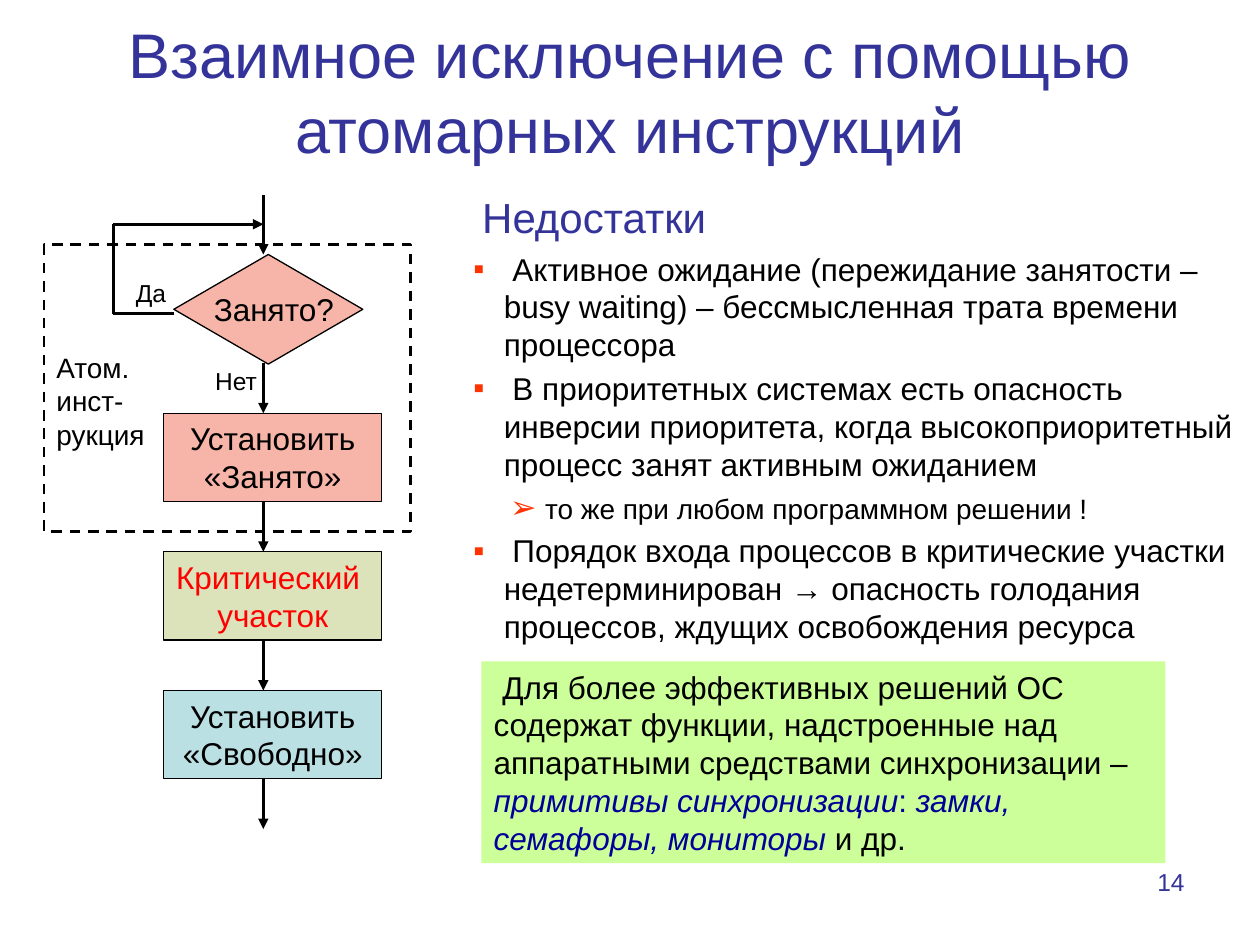
from pptx import Presentation
from pptx.dml.color import RGBColor
from pptx.enum.dml import MSO_LINE
from pptx.enum.shapes import MSO_CONNECTOR, MSO_SHAPE
from pptx.enum.text import MSO_ANCHOR, PP_ALIGN
from pptx.oxml.ns import qn
from pptx.util import Inches, Pt
from lxml.etree import SubElement

FONT = "Arial"
BLACK = RGBColor(0x00, 0x00, 0x00)
INDIGO = RGBColor(0x33, 0x33, 0x99)
NAVY = RGBColor(0x00, 0x00, 0x99)
RED = RGBColor(0xFF, 0x00, 0x00)
BULLET_RED = RGBColor(0xFF, 0x33, 0x00)
SALMON = RGBColor(0xF6, 0xB5, 0xA8)
OLIVE = RGBColor(0xDC, 0xE3, 0xBB)
TEAL = RGBColor(0xBB, 0xE0, 0xE3)
LIME = RGBColor(0xCC, 0xFF, 0x99)

FLOW_X = 2.09
LOOP_X, LOOP_TOP, LOOP_BOTTOM = 0.9, 1.78, 2.49
STEP_TOP, STEP_PITCH, STEP_HEIGHT, ARROW_LENGTH = 3.28, 1.1, 0.7, 0.4


def add_run(paragraph, text, size, color=BLACK, italic=False):
    run = paragraph.add_run()
    run.text = text
    run.font.name = FONT
    run.font.size = Pt(size)
    run.font.color.rgb = color
    run.font.italic = italic


def add_text(slide, box, text, size, color=BLACK, align=PP_ALIGN.LEFT,
             anchor=MSO_ANCHOR.TOP):
    frame = slide.shapes.add_textbox(*map(Inches, box)).text_frame
    frame.word_wrap = True
    frame.vertical_anchor = anchor
    paragraph = frame.paragraphs[0]
    paragraph.alignment = align
    add_run(paragraph, text, size, color)


def add_block(slide, preset, box, fill=None, line_width=None):
    block = slide.shapes.add_shape(preset, *map(Inches, box))
    block.shadow.inherit = False
    if fill is None:
        block.fill.background()
    else:
        block.fill.solid()
        block.fill.fore_color.rgb = fill
    if line_width is None:
        block.line.fill.background()
    else:
        block.line.color.rgb = BLACK
        block.line.width = Pt(line_width)
    block.text_frame.word_wrap = True
    block.text_frame.vertical_anchor = MSO_ANCHOR.TOP
    return block


def add_line(slide, start, end, arrow=False):
    line = slide.shapes.add_connector(
        MSO_CONNECTOR.STRAIGHT, *map(Inches, start + end))
    line.line.color.rgb = BLACK
    line.line.width = Pt(1.5)
    if arrow:
        SubElement(line.line._get_or_add_ln(), qn("a:tailEnd"), type="triangle")
    SubElement(line._element.spPr, qn("a:effectLst"))


def set_bullet(paragraph, mark, margin, hanging):
    properties = paragraph._p.get_or_add_pPr()
    properties.set("marL", str(Inches(margin)))
    properties.set("indent", str(-Inches(hanging)))
    color = SubElement(properties, qn("a:buClr"))
    SubElement(color, qn("a:srgbClr"), val=str(BULLET_RED))
    SubElement(properties, qn("a:buFont"), typeface=FONT)
    SubElement(properties, qn("a:buChar"), char=mark)


def add_drawbacks(slide):
    box = slide.shapes.add_textbox(
        Inches(3.66), Inches(1.47), Inches(6.3), Inches(3.7))
    frame = box.text_frame
    frame.word_wrap = True
    heading = frame.paragraphs[0]
    heading.space_after = Pt(4.5)
    add_run(heading, " ", 18, INDIGO)
    add_run(heading, "Недостатки", 24, INDIGO)

    drawbacks = [
        (0, " Активное ожидание (пережидание занятости – busy waiting) – "
            "бессмысленная трата времени процессора"),
        (0, " В приоритетных системах есть опасность инверсии приоритета, "
            "когда высокоприоритетный процесс занят активным ожиданием"),
        (1, "то же при любом программном решении !"),
        (0, " Порядок входа процессов в критические участки недетерминирован "
            "→ опасность голодания процессов, ждущих освобождения ресурса"),
    ]
    for level, text in drawbacks:
        paragraph = frame.add_paragraph()
        paragraph.level = level
        if level:
            paragraph.space_after = Pt(3)
            set_bullet(paragraph, "➢", 0.5, 0.21)
            add_run(paragraph, " ", 18)
            add_run(paragraph, text, 16)
        else:
            paragraph.space_after = Pt(3.4)
            set_bullet(paragraph, "▪", 0.24, 0.24)
            add_run(paragraph, text, 18)


def add_flowchart(slide):
    # Busy check and its waiting loop
    add_block(slide, MSO_SHAPE.FLOWCHART_DECISION, (1.38, 2.02, 1.5, 0.87),
              SALMON, 0.75)
    add_text(slide, (1.53, 2.25, 1.26, 0.4), " Занято?", 18)
    add_line(slide, (FLOW_X, 1.55), (FLOW_X, 2.02), arrow=True)
    add_line(slide, (1.38, LOOP_BOTTOM), (LOOP_X, LOOP_BOTTOM))
    add_line(slide, (LOOP_X, LOOP_BOTTOM), (LOOP_X, LOOP_TOP))
    add_line(slide, (LOOP_X, LOOP_TOP), (FLOW_X, LOOP_TOP), arrow=True)
    add_text(slide, (0.98, 2.16, 0.47, 0.34), "Да", 14)
    add_text(slide, (1.61, 2.86, 0.63, 0.34), "Нет", 14)

    # Steps, each with the arrow that leads into it
    center, left = PP_ALIGN.CENTER, PP_ALIGN.LEFT
    steps = [
        (SALMON, BLACK, (("Установить", center), ("«Занято»", center))),
        (OLIVE, RED, (("Критический", left), ("участок", center))),
        (TEAL, BLACK, (("Установить", center), ("«Свободно»", center))),
    ]
    for index, (fill, color, lines) in enumerate(steps):
        top = STEP_TOP + index * STEP_PITCH
        add_line(slide, (FLOW_X, top - ARROW_LENGTH), (FLOW_X, top), arrow=True)
        step = add_block(slide, MSO_SHAPE.RECTANGLE,
                         (1.3, top, 1.73, STEP_HEIGHT), fill, 0.75)
        frame = step.text_frame
        for number, (text, align) in enumerate(lines):
            paragraph = frame.add_paragraph() if number else frame.paragraphs[0]
            paragraph.alignment = align
            add_run(paragraph, text, 18, color)
    exit_top = STEP_TOP + len(steps) * STEP_PITCH - ARROW_LENGTH
    add_line(slide, (FLOW_X, exit_top), (FLOW_X, exit_top + ARROW_LENGTH),
             arrow=True)

    # Boundary of the atomic instruction
    boundary = add_block(slide, MSO_SHAPE.RECTANGLE, (0.35, 1.94, 2.91, 2.28),
                         line_width=1.5)
    boundary.line.dash_style = MSO_LINE.DASH
    add_text(slide, (0.35, 2.73, 0.94, 0.9), "Атом. инст-рукция", 16)


def add_conclusion(slide):
    conclusion = add_block(slide, MSO_SHAPE.RECTANGLE,
                           (3.82, 5.25, 5.43, 1.6), LIME)
    paragraph = conclusion.text_frame.paragraphs[0]
    paragraph.alignment = PP_ALIGN.LEFT
    for text, color, italic in (
        (" Для более эффективных решений ОС содержат функции, надстроенные "
         "над аппаратными средствами синхронизации – ", BLACK, False),
        ("примитивы синхронизации", NAVY, True),
        (": ", NAVY, False),
        ("замки, семафоры, мониторы ", NAVY, True),
        ("и др.", BLACK, False),
    ):
        add_run(paragraph, text, 18, color, italic)


def main():
    presentation = Presentation()
    presentation.slide_width = Inches(10)
    presentation.slide_height = Inches(7.5)
    slide = presentation.slides.add_slide(presentation.slide_layouts[6])

    add_text(slide, (0, -0.03, 10, 1.5),
             "Взаимное исключение с помощью атомарных инструкций", 36, INDIGO,
             PP_ALIGN.CENTER, MSO_ANCHOR.MIDDLE)
    add_drawbacks(slide)
    add_flowchart(slide)
    add_conclusion(slide)
    # Slide number
    add_text(slide, (7.17, 6.83, 2.33, 0.52), "14", 14, INDIGO, PP_ALIGN.RIGHT)
    presentation.save("out.pptx")


if __name__ == "__main__":
    main()
